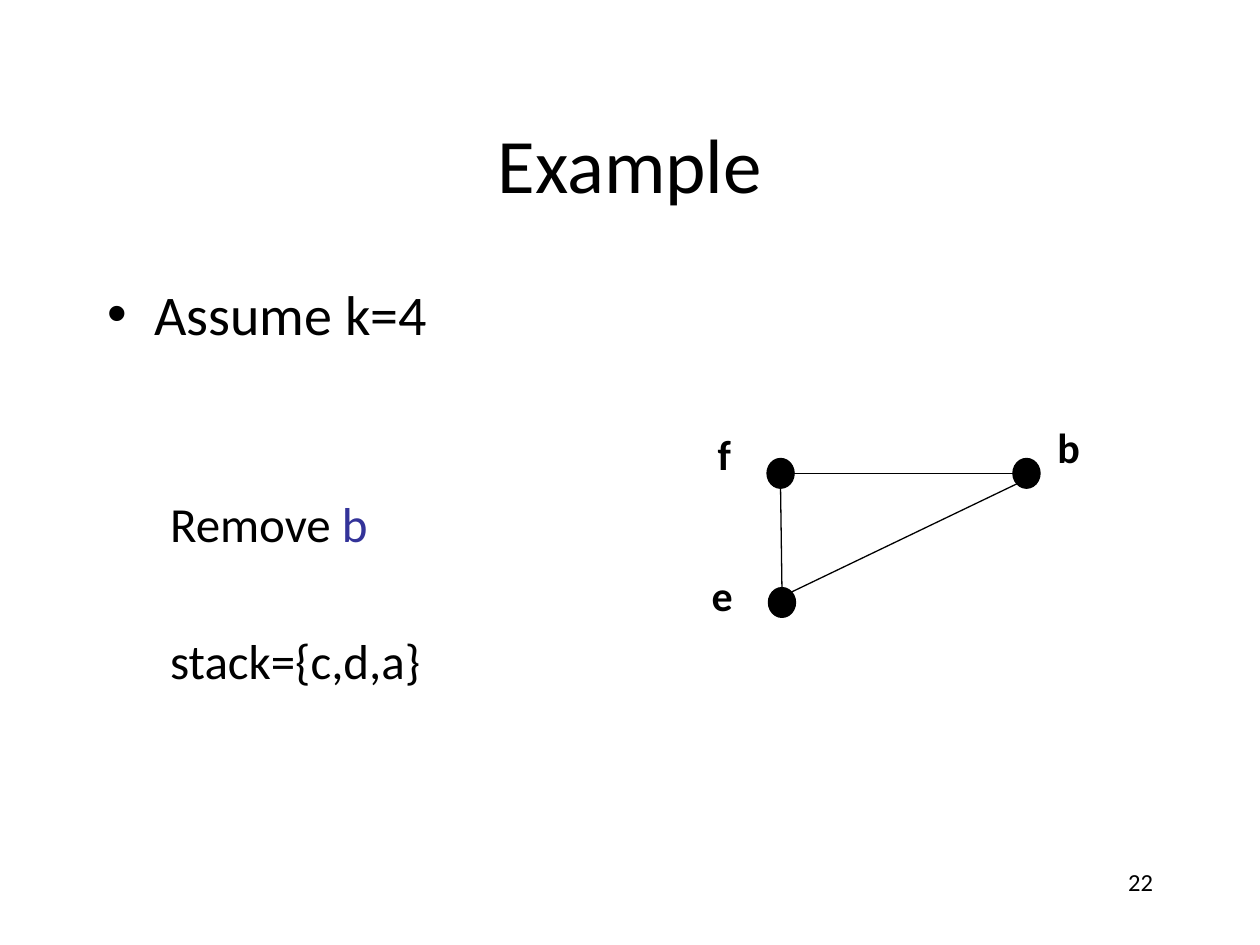
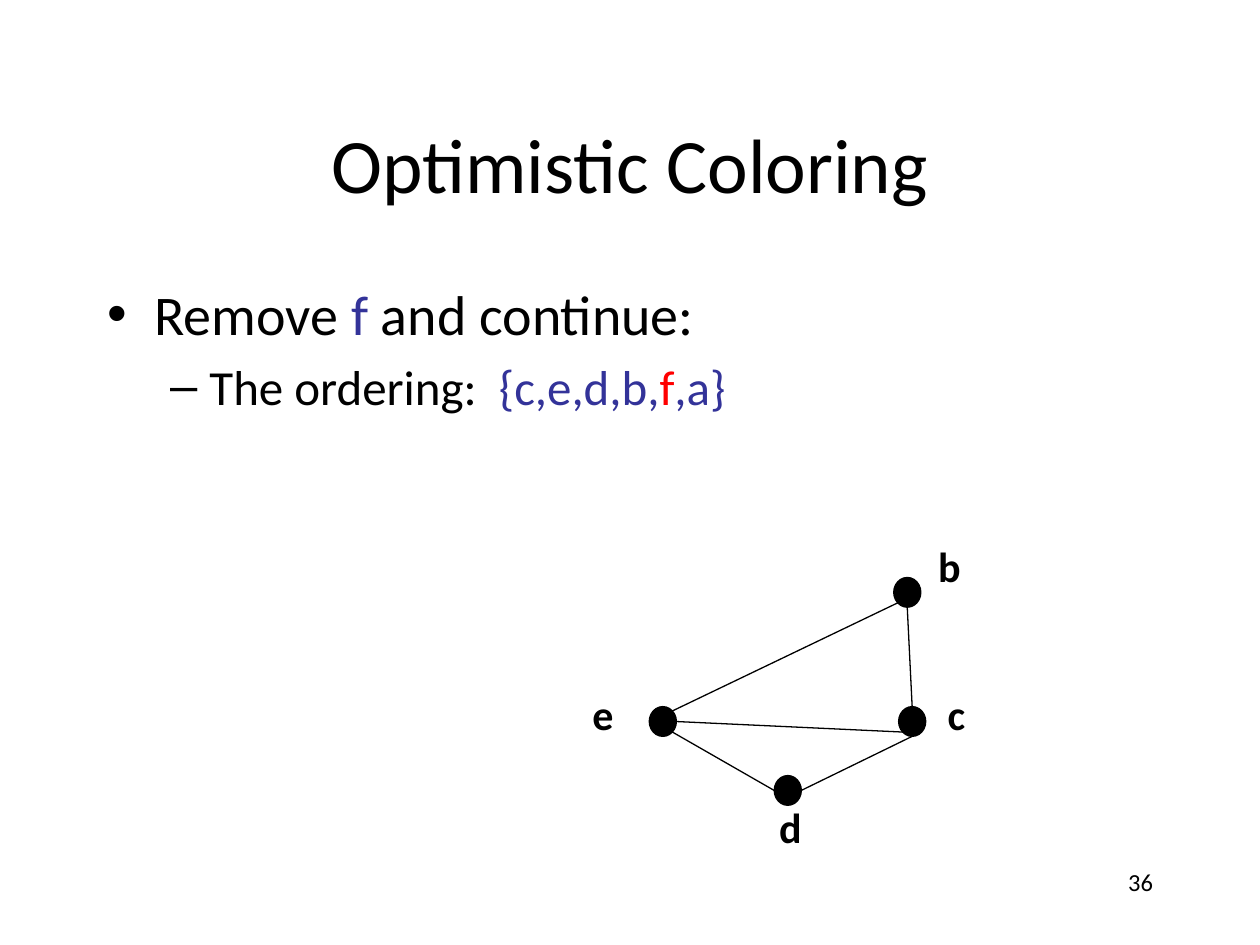
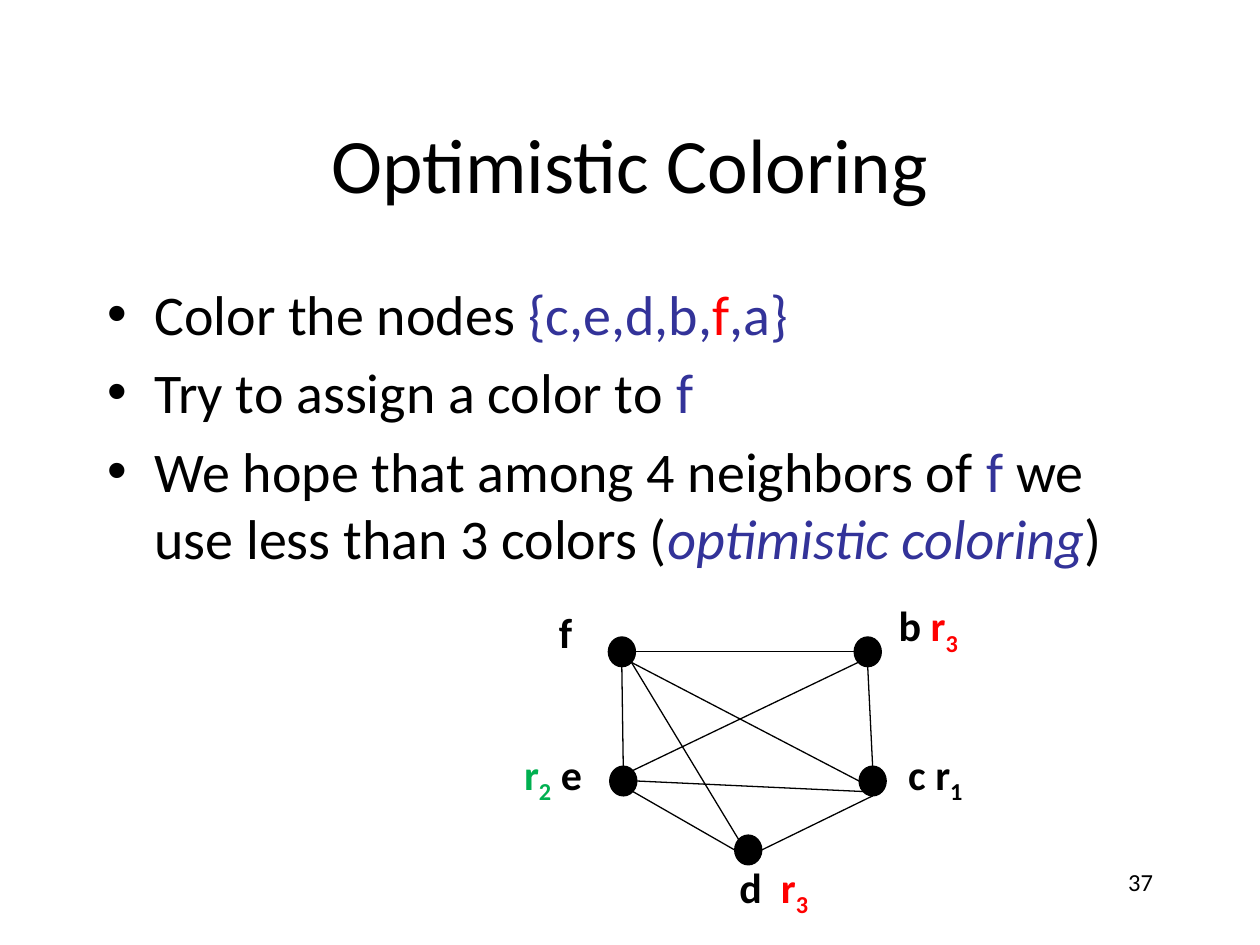
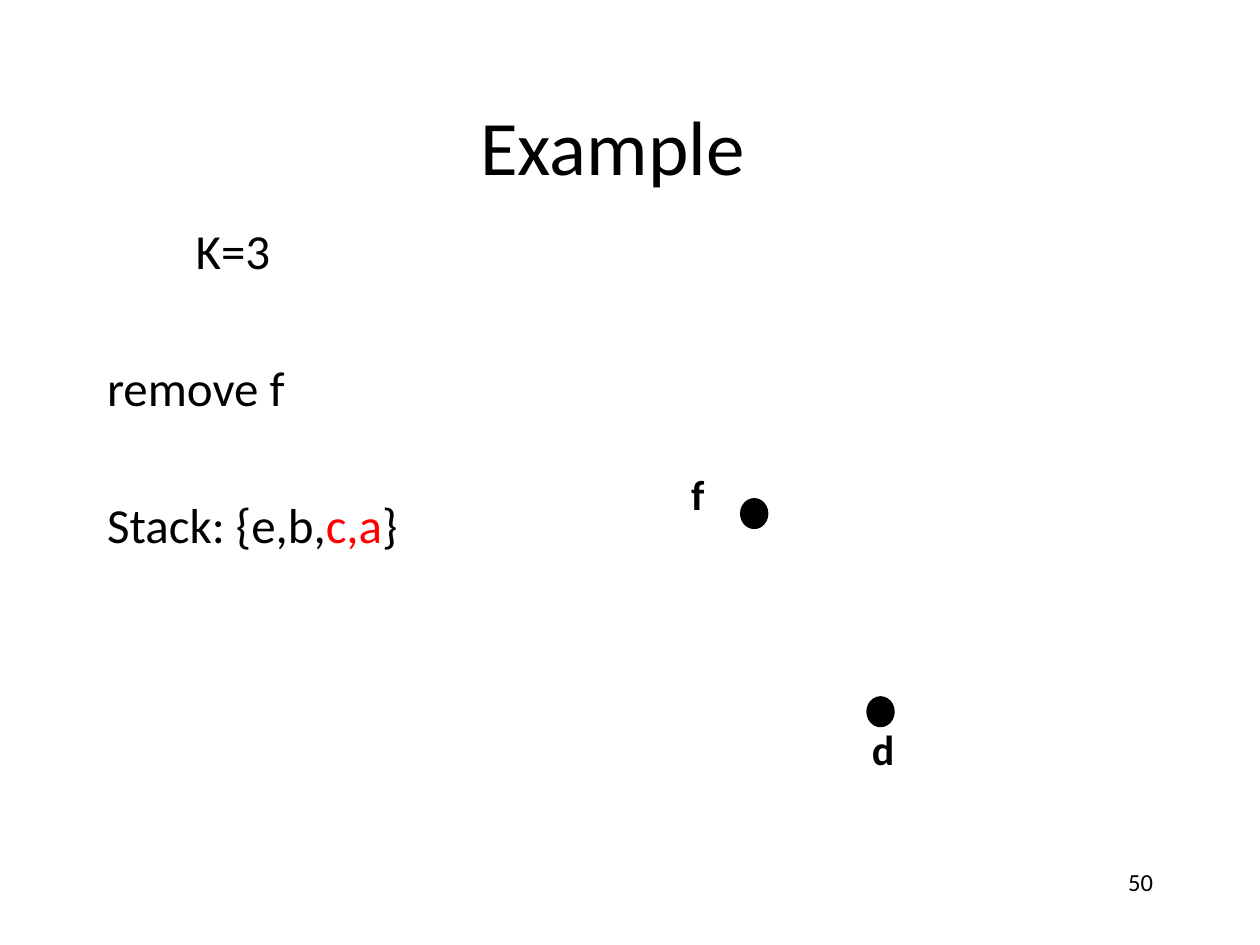
from dataclasses import dataclass
from math import cos, radians, sin

from lxml.etree import SubElement
from pptx import Presentation
from pptx.dml.color import RGBColor
from pptx.enum.shapes import MSO_CONNECTOR as Connector, MSO_SHAPE as Shape
from pptx.enum.text import MSO_ANCHOR as Anchor, PP_ALIGN as Align
from pptx.oxml.ns import qn
from pptx.util import Pt

FONT = "Calibri"
BLACK, BLUE, RED, GREEN = "000000", "333399", "FF0000", "00B050"
TITLE_BOX = (54, 48, 612, 90)
BODY_BOX = (54, 156, 612, 324)
NUMBER_BOX = (516, 492, 150, 36)
NODE_WIDTH, NODE_HEIGHT = 15.5, 17
LABEL_WIDTH, LABEL_HEIGHT = 72, 36
LINE_STEP, LINE_GAP = 39.4, 5.3

NODE_OFFSETS = {"f": (0, 0), "b": (140.5, 0), "e": (0.8, 73.8), "c": (143.3, 73.8), "d": (72.2, 113.2)}
LABEL_OFFSETS = {"f": (-35.3, -20.9), "b": (18.3, -24.8), "e": (-39.5, -13.7), "c": (21, -13.7), "d": (-4.3, 11.5)}
RIGHT, LOWER_RIGHT, BOTTOM, LOWER_LEFT, LEFT, UPPER_LEFT, TOP, UPPER_RIGHT = range(0, 360, 45)
EDGE_ANGLES = {
    "ef": (TOP, BOTTOM), "bf": (LEFT, RIGHT), "be": (LOWER_LEFT, UPPER_RIGHT),
    "de": (LEFT, LOWER_RIGHT), "bc": (BOTTOM, TOP), "ce": (LOWER_LEFT, RIGHT),
    "cd": (BOTTOM, RIGHT), "cf": (LEFT, LOWER_RIGHT), "df": (UPPER_LEFT, LOWER_RIGHT),
}


@dataclass
class Span:
    """A stretch of text in one style."""
    text: str
    color: str = BLACK
    italic: bool = False
    subscript: bool = False
    tracking: float = 0


@dataclass
class Line:
    """A body paragraph; an indent in points replaces its bullet."""
    spans: list
    level: int = 0
    indent: float = None
    skipped: int = 0


def rgb(color):
    """Turn a hex string into a colour."""
    return RGBColor.from_string(color)


def place(shape, box):
    """Move a shape to a box given in points."""
    shape.left, shape.top, shape.width, shape.height = map(Pt, box)


def write(paragraph, spans, size, bold=False):
    """Fill a paragraph with styled spans."""
    for span in spans:
        run = paragraph.add_run()
        run.text = span.text
        font = run.font
        font.name, font.size = FONT, Pt(size)
        font.bold, font.italic = bold, span.italic
        font.color.rgb = rgb(span.color)
        properties = run._r.get_or_add_rPr()
        if span.subscript:
            properties.set("baseline", "-25000")
        if span.tracking:
            properties.set("spc", str(round(span.tracking * 100)))


def add_text(shapes, box, spans, size, bold=False, align=Align.LEFT):
    """Add a text box with one paragraph."""
    text_frame = shapes.add_textbox(*map(Pt, box)).text_frame
    text_frame.word_wrap = True
    paragraph = text_frame.paragraphs[0]
    paragraph.alignment = align
    write(paragraph, spans, size, bold)


def set_plain_indent(paragraph, indent):
    """Remove the bullet and indent the whole paragraph."""
    properties = paragraph._p.get_or_add_pPr()
    properties.set("marL", str(Pt(indent)))
    properties.set("indent", "0")
    SubElement(properties, qn("a:buNone"))


def fill_body(body, lines, sizes):
    """Write the list, with one font size for each level."""
    text_frame = body.text_frame
    for index, line in enumerate(lines):
        paragraph = text_frame.add_paragraph() if index else text_frame.paragraphs[0]
        paragraph.level = line.level
        if line.indent is not None:
            set_plain_indent(paragraph, line.indent)
        if line.skipped:
            paragraph.space_before = Pt(LINE_GAP + line.skipped * LINE_STEP)
        write(paragraph, line.spans, sizes[line.level])


def add_page(presentation, title, number, lines, title_box=TITLE_BOX, body_box=BODY_BOX, sizes=(32, 28)):
    """Add a slide with title, list and page number."""
    slide = presentation.slides.add_slide(presentation.slide_layouts[1])
    heading, body = slide.placeholders
    place(heading, title_box)
    heading.text_frame.vertical_anchor = Anchor.MIDDLE
    heading.text_frame.paragraphs[0].alignment = Align.CENTER
    write(heading.text_frame.paragraphs[0], [Span(title)], 44)
    place(body, body_box)
    fill_body(body, lines, sizes)
    add_text(slide.shapes, NUMBER_BOX, [Span(str(number))], 14, align=Align.RIGHT)
    return slide


def add_node(slide, left, top, label_offset, spans):
    """Add a graph node grouped with its label."""
    shapes = slide.shapes.add_group_shape().shapes
    node = shapes.add_shape(Shape.OVAL, *map(Pt, (left, top, NODE_WIDTH, NODE_HEIGHT)))
    node.shadow.inherit = False
    node.fill.solid()
    node.fill.fore_color.rgb = rgb(BLACK)
    node.line.color.rgb = rgb(BLACK)
    node.line.width = Pt(0.75)
    label_box = (left + label_offset[0], top + label_offset[1], LABEL_WIDTH, LABEL_HEIGHT)
    add_text(shapes, label_box, spans, 24, bold=True)


def rim_point(position, angle):
    """Return the point on a node's rim at a clockwise angle."""
    left, top = position
    return (left + NODE_WIDTH / 2 * (1 + cos(radians(angle))),
            top + NODE_HEIGHT / 2 * (1 + sin(radians(angle))))


def add_edge(slide, start, end):
    """Add a thin line between two points."""
    edge = slide.shapes.add_connector(Connector.STRAIGHT, *map(Pt, start + end))
    edge.line.color.rgb = rgb(BLACK)
    edge.line.width = Pt(0.75)
    SubElement(edge._element.spPr, qn("a:effectLst"))


def add_graph(slide, origin, names, edges="", labels=None, label_offsets=None):
    """Draw the named nodes and edges from the place of node f."""
    labels = labels or {}
    offsets = LABEL_OFFSETS | (label_offsets or {})
    positions = {name: (origin[0] + NODE_OFFSETS[name][0], origin[1] + NODE_OFFSETS[name][1])
                 for name in names}
    for name, position in positions.items():
        add_node(slide, *position, offsets[name], labels.get(name, [Span(name)]))
    for edge in edges.split():
        add_edge(slide, *(rim_point(positions[name], angle)
                          for name, angle in zip(edge, EDGE_ANGLES[edge])))


def register(number, color):
    """Return the spans of a register name."""
    return [Span("r", color), Span(str(number), color, subscript=True)]


def main():
    """Build the four slides."""
    presentation = Presentation()
    presentation.slide_width, presentation.slide_height = Pt(720), Pt(540)
    ordering = [Span("{c,e,d,b,", BLUE), Span("f", RED), Span(",a}", BLUE)]

    slide = add_page(presentation, "Example", 22, [
        Line([Span("Assume k=4")]),
        Line([Span("Remove "), Span("b", BLUE)], level=1, indent=36, skipped=2),
        Line([Span("stack={c,d,a}")], level=1, indent=36, skipped=1),
    ])
    add_graph(slide, (438.3, 262), "bfe", "ef bf be")

    slide = add_page(presentation, "Optimistic Coloring", 36, [
        Line([Span("Remove "), Span("f", BLUE), Span(" and continue:")]),
        Line([Span("The ordering:"), Span(" ", tracking=6.3), *ordering], level=1),
    ])
    add_graph(slide, (370.2, 330), "bcde", "de bc ce cd be")

    slide = add_page(presentation, "Optimistic Coloring", 37, [
        Line([Span("Color the nodes "), *ordering]),
        Line([Span("Try to assign a color to "), Span("f", BLUE)]),
        Line([Span("We hope that among 4 neighbors of "), Span("f", BLUE),
              Span(" we use less than 3 colors ("),
              Span("optimistic coloring", BLUE, italic=True), Span(")")]),
    ])
    labels = {
        "e": [*register(2, GREEN), Span(" e")],
        "b": [Span("b "), *register(3, RED)],
        "c": [Span("c "), *register(1, BLACK)],
        "d": [Span("d"), Span(" ", tracking=5.4), *register(3, RED)],
    }
    add_graph(slide, (347.6, 364), "efbcd", " ".join(EDGE_ANGLES), labels, {"e": (-56, -13.7)})

    slide = add_page(presentation, "Example", 50, [
        Line([Span("K=3")], indent=50.6),
        Line([Span("remove f")], indent=0, skipped=1),
        Line([Span("Stack: {e,b,"), Span("c,a", RED), Span("}")], indent=0, skipped=1),
    ], title_box=(44, 37.5, 612, 90), body_box=(54, 122.4, 623.5, 324), sizes=(28,))
    add_graph(slide, (423.2, 285), "fd")

    presentation.save("out.pptx")


if __name__ == "__main__":
    main()
